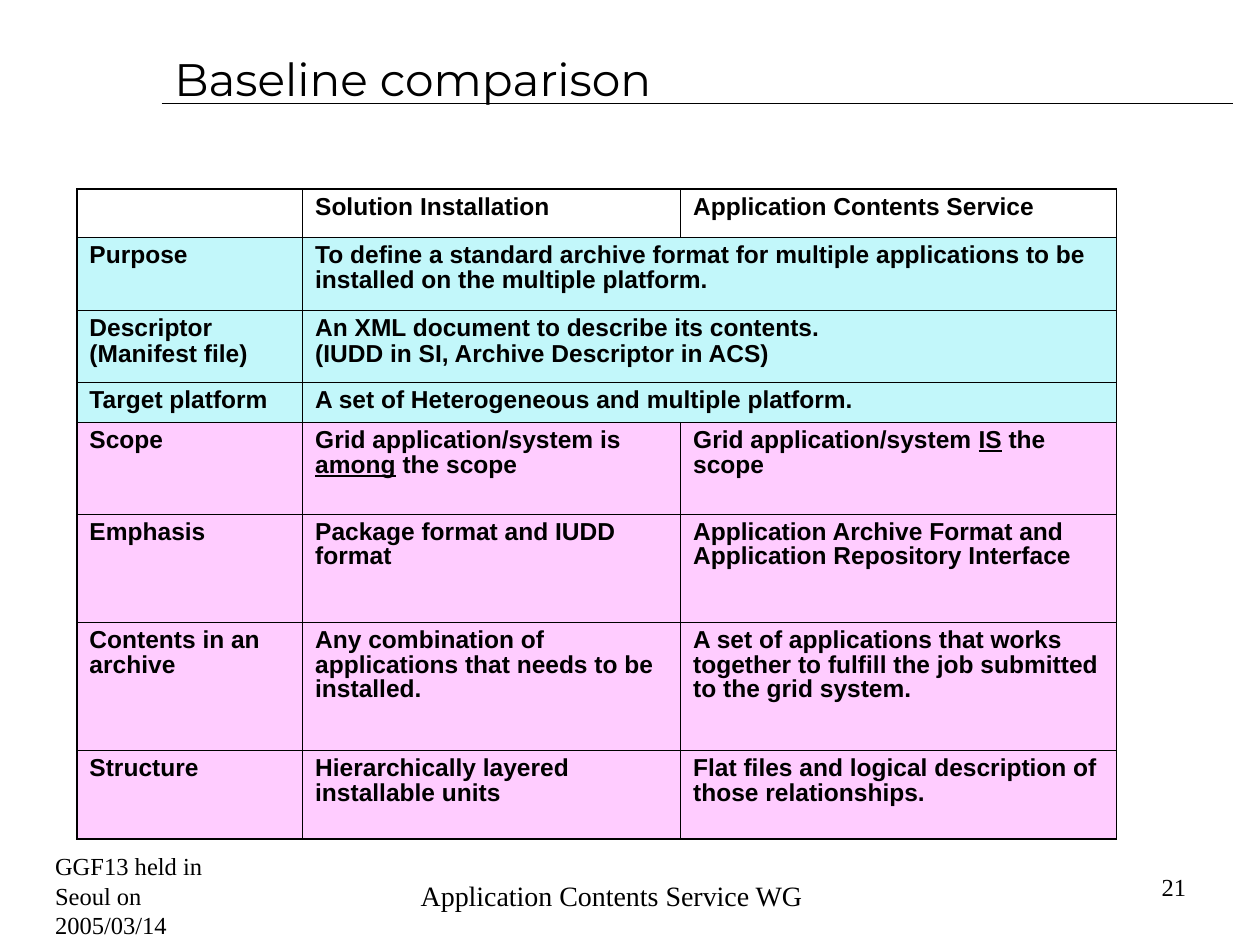
from dataclasses import dataclass

from lxml import etree
from pptx import Presentation
from pptx import util as u
from pptx.dml.color import RGBColor
from pptx.enum import shapes, text
from pptx.oxml.ns import qn


@dataclass(frozen=True)
class Theme:
    ink: str = "000000"
    same: str = "C2F7FA"
    differ: str = "FFCCFF"
    head: str = "Montserrat"
    body: str = "Arial"
    foot: str = "Times New Roman"
    title: int = 26
    cell: int = 14
    note: int = 14
    group: int = 16
    thin: float = 0.45
    thick: float = 1.08


T = Theme()
COLS = (4.55, 7.62, 8.79)
# height, fill, cells; a row with two cells spans the last two columns,
# and underscores enclose underlined words
ROWS = (
    (0.97, None, ("", "Solution Installation", "Application Contents Service")),
    (1.47, T.same, ("Purpose", "To define a standard archive format for multiple "
                    "applications to be installed on the multiple platform.")),
    (1.45, T.same, ("Descriptor\n(Manifest file)",
                    "An XML document to describe its contents.\n"
                    "(IUDD in SI, Archive Descriptor in ACS)")),
    (0.81, T.same, ("Target platform",
                    "A set of Heterogeneous and multiple platform.")),
    (1.85, T.differ, ("Scope", "Grid application/system is _among_ the scope",
                      "Grid application/system _IS_ the scope")),
    (2.18, T.differ, ("Emphasis", "Package format and IUDD format",
                      "Application Archive Format and "
                      "Application Repository Interface")),
    (2.59, T.differ, ("Contents in an archive",
                      "Any combination of applications that needs to be installed.",
                      "A set of applications that works together to fulfill "
                      "the job submitted to the grid system.")),
    (1.78, T.differ, ("Structure", "Hierarchically layered installable units",
                      "Flat files and logical description of those relationships.")),
)


def color(code):
    return RGBColor.from_string(code)


def style(para, face, size, bold=False):
    font = para.font
    font.name, font.size, font.bold = face, u.Pt(size), bold
    font.color.rgb = color(T.ink)


def place(shape, box):
    shape.left, shape.top, shape.width, shape.height = map(u.Cm, box)


def header(slide, box):
    """Title with the rule that runs under it."""
    left, top, width, _ = box
    y = top + 1.24
    rule = slide.shapes.add_connector(
        shapes.MSO_CONNECTOR.STRAIGHT,
        *map(u.Cm, (left, y, left + width, y)))
    rule.line.color.rgb = color(T.ink)
    rule.line.width = u.Pt(0.75)
    etree.SubElement(rule._element.spPr, qn("a:effectLst"))

    title = slide.shapes.title
    place(title, box)
    frame = title.text_frame
    frame.text = "Baseline comparison"
    frame.auto_size = text.MSO_AUTO_SIZE.NONE
    frame.vertical_anchor = text.MSO_ANCHOR.MIDDLE
    para = frame.paragraphs[0]
    para.alignment = text.PP_ALIGN.LEFT
    style(para, T.head, T.title)


def border(cell, edges):
    """Draw the sides; edges names those on the outside of the table."""
    props = cell._tc.get_or_add_tcPr()
    for side in "LRTB":
        width = T.thick if side in edges else T.thin
        line = etree.SubElement(props, qn("a:ln" + side), w=str(u.Pt(width)))
        fill = etree.SubElement(line, qn("a:solidFill"))
        etree.SubElement(fill, qn("a:srgbClr"), val=T.ink)


def write(cell, words):
    frame = cell.text_frame
    lines = words.split("\n")
    for i, line in enumerate(lines):
        para = frame.add_paragraph() if i else frame.paragraphs[0]
        para.line_spacing = 0.9
        if i:
            para.space_before = u.Pt(0.9)
        if len(lines) == 1:
            para.space_after = u.Pt(3.5)
        style(para, T.body, T.cell, True)
        for j, part in enumerate(line.split("_")):
            if part:
                run = para.add_run()
                run.text = part
                if j % 2:
                    run.font.underline = True


def compare(slide, box):
    grid = slide.shapes.add_table(len(ROWS), len(COLS), *map(u.Cm, box)).table
    grid.first_row = grid.horz_banding = False
    for col, width in zip(grid.columns, COLS):
        col.width = u.Cm(width)
    for r, (height, fill, cells) in enumerate(ROWS):
        grid.rows[r].height = u.Cm(height)
        if len(cells) == 2:
            grid.cell(r, 1).merge(grid.cell(r, 2))
        for c in range(len(COLS)):
            cell = grid.cell(r, c)
            last = c == len(COLS) - 1 or cell.is_merge_origin
            edges = (("L" if c == 0 else "") + ("R" if last else "")
                     + ("T" if r == 0 else "")
                     + ("B" if r == len(ROWS) - 1 else ""))
            border(cell, edges)
            if fill:
                cell.fill.solid()
                cell.fill.fore_color.rgb = color(fill)
            else:
                cell.fill.background()
            if c < len(cells):
                write(cell, cells[c])


def footer(slide, box):
    """Date, group and page number, placed from the box's corner."""
    left, top, width, height = box
    align = text.PP_ALIGN
    for words, x, y, w, h, side, size in (
            ("Application Contents Service WG", 6.86, 0, 9.22, height,
             align.CENTER, T.group),
            ("21", width - 2.41, 0.23, 2.41, 0.61, align.RIGHT, T.note),
            ("GGF13 held in Seoul on 2005/03/14", 0, 0.23, 4.47, 0.94,
             align.LEFT, T.note)):
        note = slide.shapes.add_textbox(
            *map(u.Cm, (left + x, top + y, w, h)))
        frame = note.text_frame
        frame.word_wrap = True
        frame.vertical_anchor = text.MSO_ANCHOR.MIDDLE
        para = frame.paragraphs[0]
        para.text, para.alignment = words, side
        style(para, T.foot, size)


def main():
    deck = Presentation()
    deck.slide_width, deck.slide_height = u.Cm(25.4), u.Cm(19.05)
    slide = deck.slides.add_slide(deck.slide_layouts[5])
    header(slide, (3.26, 0.84, 21.59, 1.47))
    compare(slide, (1.55, 3.81, sum(COLS), sum(row[0] for row in ROWS)))
    footer(slide, (0.86, 17.35, 23.3, 1.4))
    deck.save("out.pptx")


if __name__ == "__main__":
    main()
